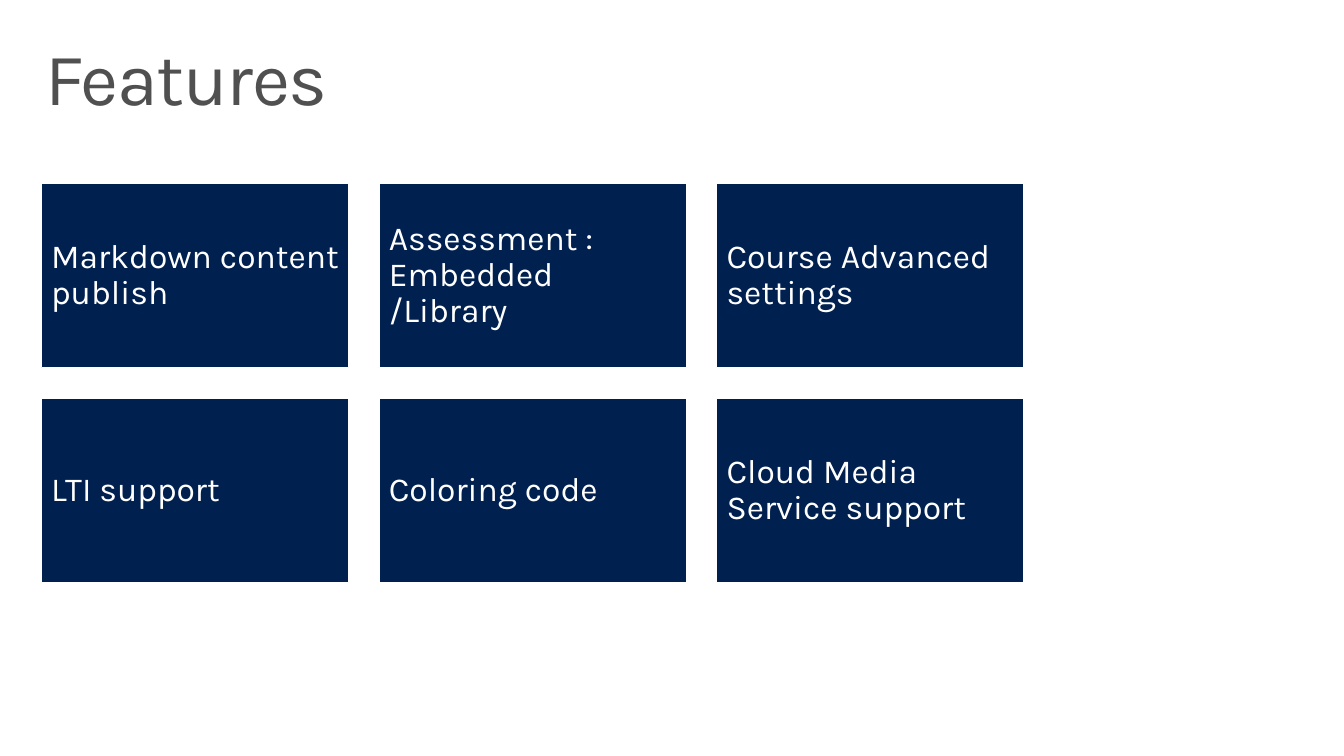
import dataclasses
import pptx
import pptx.dml.color
import pptx.enum.shapes
import pptx.enum.text
import pptx.util

Cm = pptx.util.Cm
Pt = pptx.util.Pt
Anchor = pptx.enum.text.MSO_ANCHOR


@dataclasses.dataclass(frozen=True)
class Theme:
    font: str = "Karla"
    navy: str = "002050"
    grey: str = "505050"
    white: str = "FFFFFF"
    title: float = 52.9
    label: float = 24
    edge: float = 0.85


class Deck:
    def __init__(self, theme):
        self.theme = theme
        self.file = pptx.Presentation()
        self.file.slide_width = Cm(33.87)
        self.file.slide_height = Cm(19.05)
        self.slide = self.file.slides.add_slide(self.file.slide_layouts[6])

    def color(self, code):
        return pptx.dml.color.RGBColor.from_string(code)

    def label(self, shape, text, size, color, anchor, side, pad):
        frame = shape.text_frame
        frame.word_wrap = True
        frame.vertical_anchor = anchor
        frame.margin_left = frame.margin_right = Cm(side)
        frame.margin_top = frame.margin_bottom = Cm(pad)
        para = frame.paragraphs[0]
        para.alignment = pptx.enum.text.PP_ALIGN.LEFT
        para.line_spacing = 0.9
        run = para.add_run()
        run.text = text
        run.font.name = self.theme.font
        run.font.size = Pt(size)
        run.font.color.rgb = self.color(color)
        return run

    def title(self, text, left, top, width, height):
        box = self.slide.shapes.add_textbox(Cm(left), Cm(top), Cm(width), Cm(height))
        run = self.label(box, text, self.theme.title, self.theme.grey,
                         Anchor.TOP, 0.41, 0.25)
        # Tighten the letters by one point
        run._r.get_or_add_rPr().set("spc", "-100")

    def tile(self, text, left, top, width, height):
        tile = self.slide.shapes.add_shape(
            pptx.enum.shapes.MSO_SHAPE.RECTANGLE,
            Cm(left), Cm(top), Cm(width), Cm(height))
        tile.shadow.inherit = False
        tile.fill.solid()
        tile.fill.fore_color.rgb = self.color(self.theme.navy)
        tile.line.color.rgb = self.color(self.theme.white)
        tile.line.width = Pt(self.theme.edge)
        self.label(tile, text, self.theme.label, self.theme.white,
                   Anchor.MIDDLE, 0.25, 0.25)


def main():
    deck = Deck(Theme())

    # Heading
    deck.title("Features", 0.74, 0.81, 32.39, 2.49)

    # Grid of features, three to a row
    labels = [
        "Markdown content publish",
        "Assessment : Embedded /Library",
        "Course Advanced settings",
        "LTI support",
        "Coloring code",
        "Cloud Media Service support",
    ]
    left, top, width, height, gap = 1.04, 4.62, 7.75, 4.65, 0.76
    for index, label in enumerate(labels):
        row, col = divmod(index, 3)
        deck.tile(label, left + col * (width + gap),
                  top + row * (height + gap), width, height)

    deck.file.save("out.pptx")


if __name__ == "__main__":
    main()
